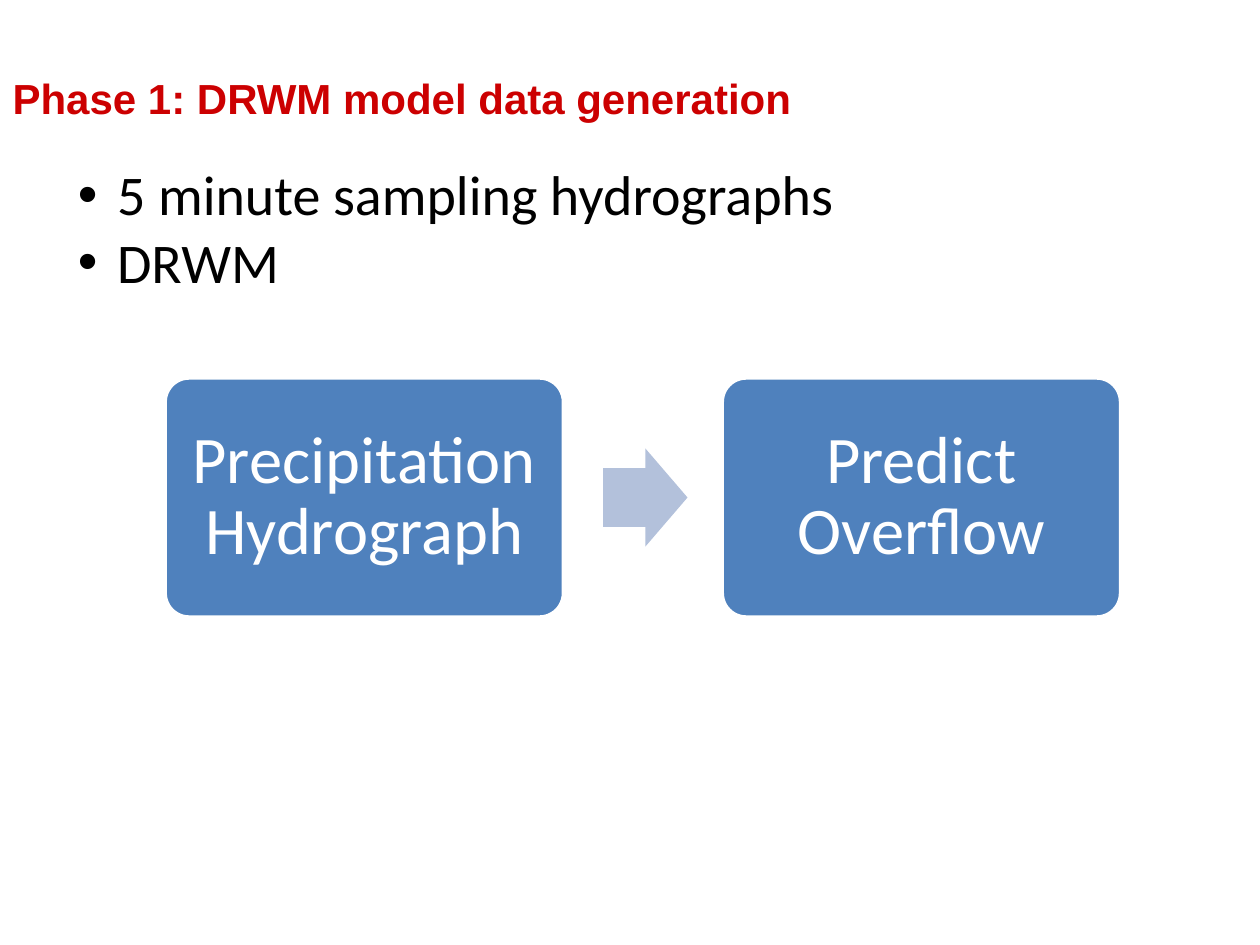
import pptx
import pptx.dml.color
import pptx.enum.shapes
import pptx.enum.text
import pptx.util
from lxml import etree
from pptx.oxml.ns import qn

Cm, Pt = pptx.util.Cm, pptx.util.Pt
SHAPE = pptx.enum.shapes.MSO_SHAPE
ALIGN = pptx.enum.text.PP_ALIGN
MIDDLE = pptx.enum.text.MSO_ANCHOR.MIDDLE

TITLE = "Phase 1: DRWM model data generation"
POINTS = ["5 minute sampling hydrographs", "DRWM"]
STEPS = ["Precipitation Hydrograph", "Predict Overflow"]

# Flow chart measures in cm
LEFT, TOP, WIDE, HIGH, STEP = 3.33, 7.62, 8.03, 4.82, 11.23
ARROW_W, ARROW_H, ARROW_GAP = 1.7, 1.98, 0.8


def color(code):
    return pptx.dml.color.RGBColor.from_string(code)


def write(frame, lines, size, font="Calibri", ink="000000", bold=False,
          align=ALIGN.LEFT, space=1.0, bullet=False):
    frame.word_wrap = True
    for i, line in enumerate(lines):
        para = frame.add_paragraph() if i else frame.paragraphs[0]
        para.alignment, para.line_spacing = align, space
        para.space_before = para.space_after = Pt(0)
        run = para.add_run()
        run.text = line
        run.font.size, run.font.name, run.font.bold = Pt(size), font, bold
        run.font.color.rgb = color(ink)
        if bullet:
            props = para._p.get_or_add_pPr()
            props.set("marL", str(Cm(0.79)))
            props.set("indent", str(-Cm(0.79)))
            etree.SubElement(props, qn("a:buFont")).set("typeface", "Arial")
            etree.SubElement(props, qn("a:buChar")).set("char", "•")


def draw(kind, left, top, wide, high, fill, adjust):
    shape = slide.shapes.add_shape(kind, Cm(left), Cm(top), Cm(wide), Cm(high))
    shape.shadow.inherit = False
    shape.fill.solid()
    shape.fill.fore_color.rgb = color(fill)
    shape.line.fill.background()
    for i, value in enumerate(adjust):
        shape.adjustments[i] = value
    return shape


deck = pptx.Presentation()
deck.slide_width, deck.slide_height = Cm(25.4), Cm(19.05)
slide = deck.slides.add_slide(deck.slide_layouts[5])

title = slide.shapes.title
title.left, title.top, title.width, title.height = Cm(0), Cm(1.32), Cm(22.86), Cm(1.3)
title.text_frame.vertical_anchor = MIDDLE
write(title.text_frame, [TITLE], 24, font="Arial", ink="CC0001", bold=True)

points = slide.shapes.add_textbox(Cm(1.32), Cm(3.1), Cm(23.29), Cm(3))
write(points.text_frame, POINTS, 32, bullet=True)

for i, label in enumerate(STEPS):
    left = LEFT + i * STEP
    if i:
        draw(SHAPE.RIGHT_ARROW, left - STEP + WIDE + ARROW_GAP,
             TOP + (HIGH - ARROW_H) / 2, ARROW_W, ARROW_H, "B3C1DB", [0.6, 0.5])
    box = draw(SHAPE.ROUNDED_RECTANGLE, left, TOP, WIDE, HIGH, "4F81BD", [0.1])
    box.line.color.rgb = color("FFFFFF")
    box.line.width = Pt(2)
    frame = box.text_frame
    frame.vertical_anchor = MIDDLE
    # The rounded corners already add a small inset of their own
    frame.margin_left = frame.margin_right = Cm(0.4)
    frame.margin_top = frame.margin_bottom = Cm(0.4)
    write(frame, [label], 38, ink="FFFFFF", align=ALIGN.CENTER, space=0.9)

deck.save("out.pptx")
